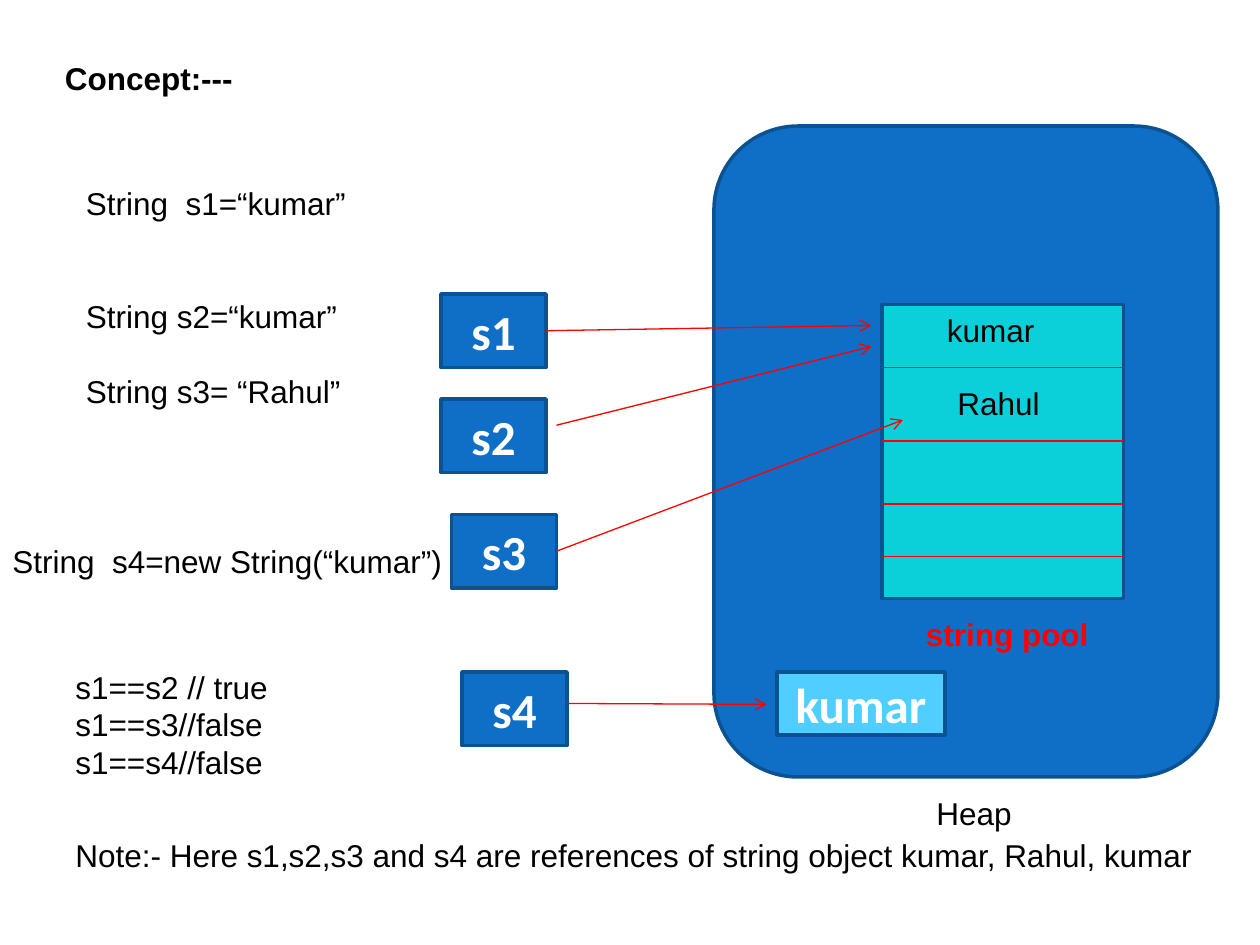
import pptx
import pptx.util
import pptx.dml.color
import pptx.enum.shapes
import pptx.enum.text
import pptx.oxml
import pptx.oxml.ns

Pt = pptx.util.Pt
SHAPES = pptx.enum.shapes.MSO_SHAPE
RIGHT_SIDE = 3


def color(value):
    return pptx.dml.color.RGBColor.from_string(value)


def add_child(parent, tag, **attributes):
    child = pptx.oxml.parse_xml(f"<a:{tag} {pptx.oxml.ns.nsdecls('a')}/>")
    for name, value in attributes.items():
        child.set(name, value)
    parent.append(child)


class Diagram:
    blue = "0F6FC6"
    outline = "0B5292"
    red = "FF0000"
    label = {"name": "Arial", "size": Pt(18), "bold": False}
    box_label = {"name": "Calibri", "size": Pt(28), "bold": True}

    def __init__(self, slide):
        self.slide = slide

    def format_font(self, paragraph, values, text_color):
        for name, value in values.items():
            setattr(paragraph.font, name, value)
        paragraph.font.color.rgb = color(text_color)

    def box(self, left, top, width, height, fill=blue, text="", kind=SHAPES.RECTANGLE):
        shape = self.slide.shapes.add_shape(kind, Pt(left), Pt(top), Pt(width), Pt(height))
        shape.shadow.inherit = False
        shape.fill.solid()
        shape.fill.fore_color.rgb = color(fill)
        shape.line.color.rgb = color(self.outline)
        shape.line.width = Pt(2)
        if text:
            frame = shape.text_frame
            frame.text = text
            frame.vertical_anchor = pptx.enum.text.MSO_ANCHOR.MIDDLE
            paragraph = frame.paragraphs[0]
            paragraph.alignment = pptx.enum.text.PP_ALIGN.CENTER
            self.format_font(paragraph, self.box_label, "FFFFFF")
        return shape

    def text(self, left, top, width, height, lines, gaps=(), wrap=False,
             text_color="000000", **changes):
        shape = self.slide.shapes.add_textbox(Pt(left), Pt(top), Pt(width), Pt(height))
        frame = shape.text_frame
        frame.word_wrap = wrap
        frame.text = "\n".join(lines)
        for paragraph in frame.paragraphs:
            self.format_font(paragraph, {**self.label, **changes}, text_color)
            if len(lines) > 1:
                paragraph.line_spacing = Pt(21.5)
        for paragraph, gap in zip(frame.paragraphs[1:], gaps):
            paragraph.space_before = Pt(gap)

    def line(self, start, end, arrow=False, source=None):
        connector = self.slide.shapes.add_connector(
            pptx.enum.shapes.MSO_CONNECTOR.STRAIGHT, *map(Pt, start + end))
        if source is not None:
            connector.begin_connect(source, RIGHT_SIDE)
        connector.line.color.rgb = color(self.red)
        connector.line.width = Pt(0.75)
        if arrow:
            add_child(connector.line._get_or_add_ln(), "tailEnd", type="arrow")
        add_child(connector._element.spPr, "effectLst")


def main():
    presentation = pptx.Presentation()
    presentation.slide_width = Pt(720)
    presentation.slide_height = Pt(540)
    diagram = Diagram(presentation.slides.add_slide(presentation.slide_layouts[6]))

    diagram.box(408, 72, 288, 372, kind=SHAPES.ROUNDED_RECTANGLE)
    diagram.box(504, 174, 138, 168, fill="0BD0D9")
    for row_bottom in (210, 252, 288, 318):
        diagram.line((504, row_bottom), (642, row_bottom))
    diagram.text(528, 450, 58, 29, ["Heap"])
    diagram.text(522, 348, 109, 29, ["string pool"], text_color=diagram.red, bold=True)
    diagram.text(534, 174, 65, 29, ["kumar"])
    diagram.text(540, 216, 62, 29, ["Rahul"])

    references = (
        ("s1", 252, 168, (312, 189), (498, 186), True),
        ("s2", 252, 228, (318, 243), (498, 198), False),
        ("s3", 258, 294, (318, 315), (516, 240), True),
        ("s4", 264, 384, (324, 402), (438, 402.5), False),
    )
    for name, left, top, start, end, joined in references:
        reference = diagram.box(left, top, 60, 42, text=name)
        diagram.line(start, end, arrow=True, source=reference if joined else None)
    diagram.box(444, 384, 96, 36, fill="4FCEFF", text="kumar")

    diagram.text(30, 30, 112, 29, ["Concept:---"], bold=True)
    diagram.text(42, 102, 198, 138,
                 ["String  s1=“kumar”", "String s2=“kumar”", "String s3= “Rahul”"],
                 gaps=(43, 21.5), wrap=True)
    diagram.text(0, 306, 263, 29, ["String  s4=new String(“kumar”)"])
    diagram.text(36, 378, 125, 73, ["s1==s2 // true", "s1==s3//false", "s1==s4//false"])
    diagram.text(36, 474, 653, 29,
                 ["Note:- Here s1,s2,s3 and s4 are references of string object "
                  "kumar, Rahul, kumar"])
    presentation.save("out.pptx")


if __name__ == "__main__":
    main()
